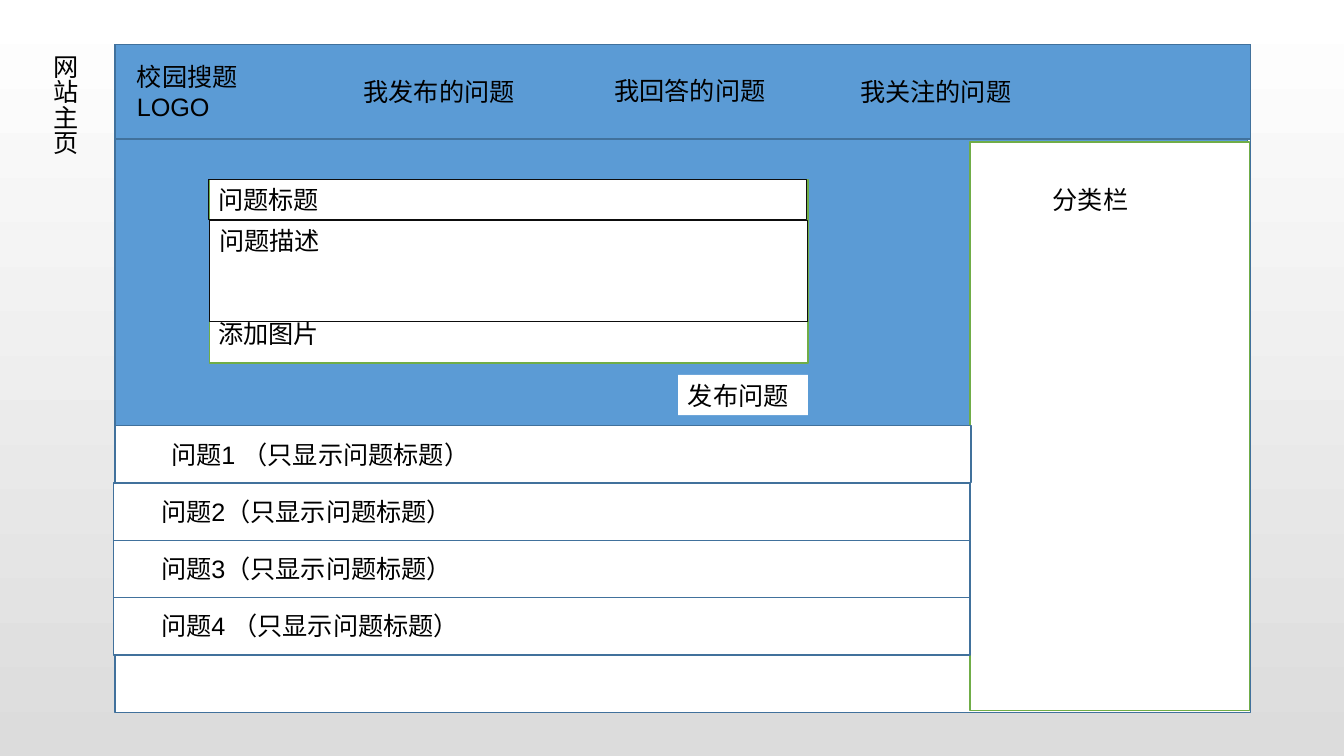
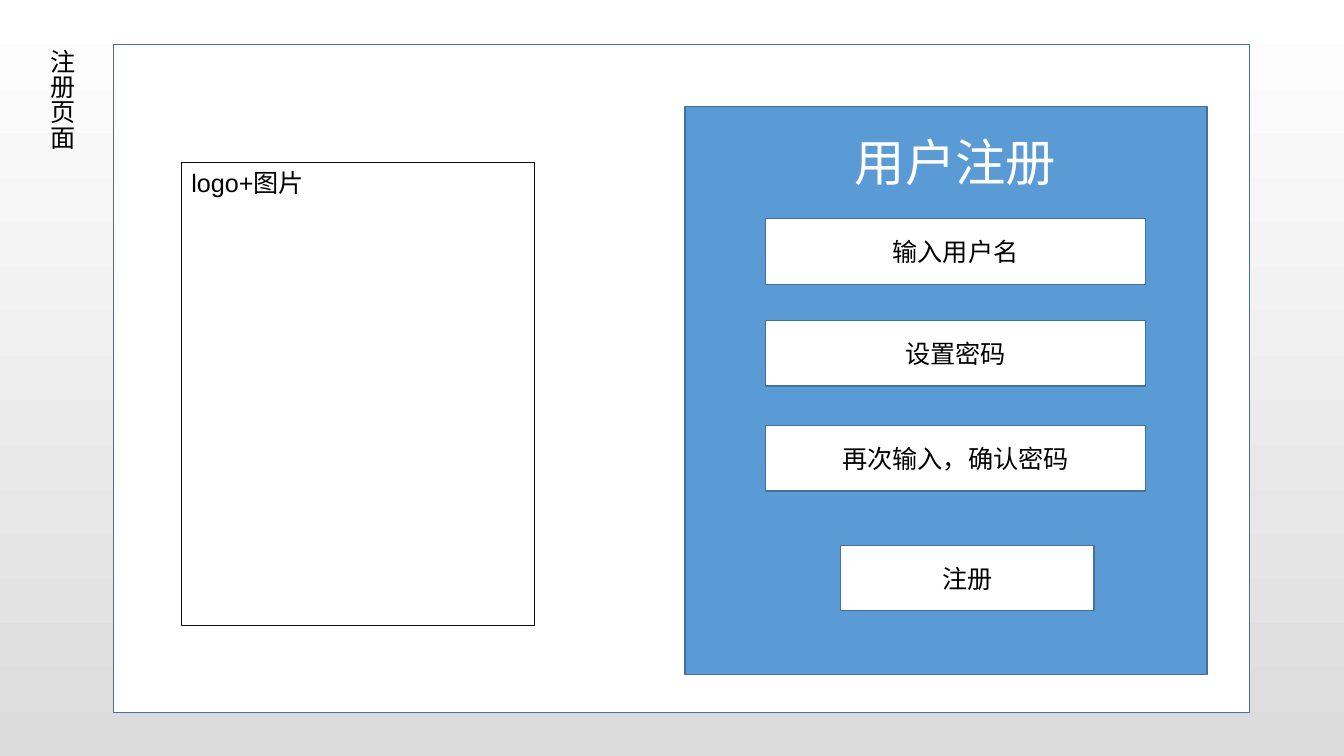
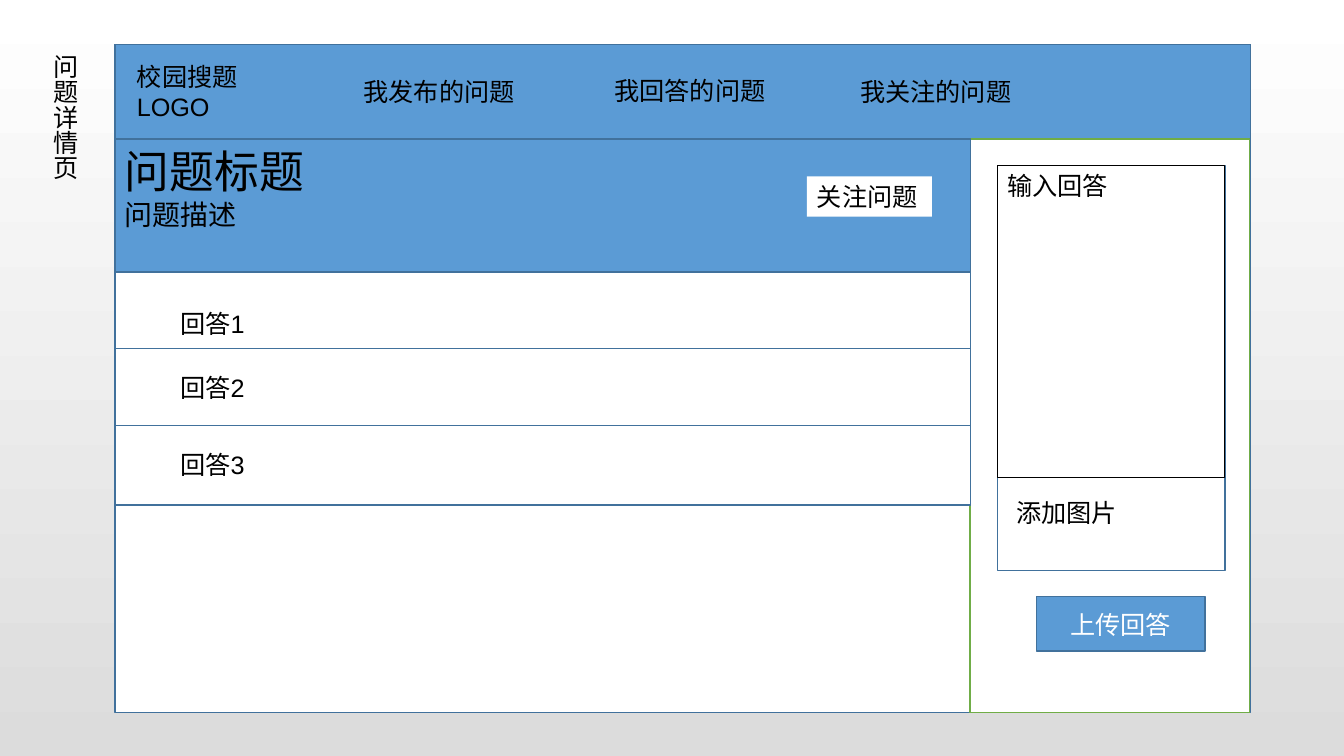
from dataclasses import dataclass

from pptx import Presentation
from pptx import util as u
from pptx.dml.color import RGBColor
from pptx.enum import shapes, text

PX = 9144  # EMU per px, 100 px to the inch
TITLE_ONLY = 5


@dataclass(frozen=True)
class Theme:
    font: str = "Arial"
    blue: str = "5B9BD5"
    border: str = "41719C"
    green: str = "70AD47"
    ink: str = "0D0D0D"
    black: str = "000000"
    white: str = "FFFFFF"
    grey: str = "DCDCDC"
    body: int = 18
    subheading: int = 20
    heading: int = 32
    banner: int = 36
    line: float = 1
    thin_line: float = 0.75


THEME = Theme()


class Wireframe:
    def __init__(self, theme):
        self.theme = theme
        self.presentation = Presentation()
        self.presentation.slide_width = 1334 * PX
        self.presentation.slide_height = 750 * PX
        self.slide = None
        fill = self.presentation.slide_master.background.fill
        fill.gradient()
        fill.gradient_angle = 270
        for stop, color in zip(fill.gradient_stops, (theme.white, theme.grey)):
            stop.color.rgb = RGBColor.from_string(color)

    def page(self, name, title_box, frame_left=114):
        """Start a slide with its vertical title and the white page frame."""
        layout = self.presentation.slide_layouts[TITLE_ONLY]
        self.slide = self.presentation.slides.add_slide(layout)
        title = self.slide.shapes.title
        title.left, title.top, title.width, title.height = (n * PX for n in title_box)
        title.element.txBody.bodyPr.set("vert", "eaVert")
        self.set_text(title, name, insets=(5, 10),
                      auto_size=text.MSO_AUTO_SIZE.SHAPE_TO_FIT_TEXT)
        self.box((frame_left, 44, 1127, 663), self.theme.white)

    def set_text(self, shape, words, size=None, color=None, centred=False,
                 insets=(10, 5), auto_size=text.MSO_AUTO_SIZE.NONE):
        """Fill a shape with a string, or with a list of (string, size) lines."""
        size = size or self.theme.body
        lines = [(words, size)] if isinstance(words, str) else words
        frame = shape.text_frame
        across, down = (n * PX for n in insets)
        frame_format = {
            "word_wrap": True,
            "auto_size": auto_size,
            "vertical_anchor": text.MSO_ANCHOR.MIDDLE if centred else text.MSO_ANCHOR.TOP,
            "margin_left": across, "margin_right": across,
            "margin_top": down, "margin_bottom": down,
        }
        for name, value in frame_format.items():
            setattr(frame, name, value)
        for index, (line, line_size) in enumerate(lines):
            paragraph = frame.add_paragraph() if index else frame.paragraphs[0]
            paragraph.alignment = text.PP_ALIGN.CENTER if centred else text.PP_ALIGN.LEFT
            run = paragraph.add_run()
            run.text = line
            run.font.name = self.theme.font
            run.font.size = u.Pt(line_size)
            run.font.color.rgb = RGBColor.from_string(color or self.theme.black)

    def label(self, box, words):
        shape = self.slide.shapes.add_textbox(*(n * PX for n in box))
        self.set_text(shape, words)

    def box(self, box, fill=None, line=THEME.border, width=THEME.line, words=None, **style):
        shape = self.slide.shapes.add_shape(
            shapes.MSO_SHAPE.RECTANGLE, *(n * PX for n in box))
        shape.shadow.inherit = False
        if fill:
            shape.fill.solid()
            shape.fill.fore_color.rgb = RGBColor.from_string(fill)
        else:
            shape.fill.background()
        if line:
            shape.line.color.rgb = RGBColor.from_string(line)
            shape.line.width = u.Pt(width)
        else:
            shape.line.fill.background()
        if words:
            self.set_text(shape, words, **style)

    def field(self, box, words, line=THEME.ink):
        """Outlined input area with its prompt at the top left."""
        self.box(box, line=line, width=self.theme.thin_line, words=words)

    def tag(self, box, words):
        """White button without a border."""
        self.box(box, self.theme.white, line=None, words=words)

    def navigation(self):
        self.box((114, 44, 1127, 94), self.theme.blue)
        self.label((126, 56, 131, 70), "校园搜题LOGO")
        links = ((351, 71, "我发布的问题"), (600, 70, "我回答的问题"), (844, 71, "我关注的问题"))
        for left, top, words in links:
            self.label((left, top, 201, 40), words)


def home_page(wireframe):
    theme = wireframe.theme
    wireframe.page("网站主页", (35, 44, 50, 317))
    wireframe.navigation()
    wireframe.box((114, 138, 1124, 284), theme.blue)
    wireframe.box((208, 178, 594, 182), theme.white, theme.green)
    wireframe.field((207, 178, 594, 40), "问题标题")
    wireframe.field((208, 219, 594, 100), "问题描述")
    wireframe.label((207, 311, 137, 40), "添加图片")
    wireframe.tag((673, 372, 129, 40), "发布问题")
    wireframe.box((963, 141, 277, 564), theme.white, theme.green)
    wireframe.label((1035, 178, 155, 40), "分类栏")
    questions = (
        (114, 160, 431, "问题1 （只显示问题标题）"),
        (113, 150, 487, "问题2（只显示问题标题）"),
        (113, 150, 544, "问题3（只显示问题标题）"),
        (113, 150, 601, "问题4 （只显示问题标题）"),
    )
    for index, (left, label_left, label_top, words) in enumerate(questions):
        wireframe.box((left, 422 + 57 * index, 850, 57), theme.white)
        wireframe.label((label_left, label_top, 392, 40), words)


def registration_page(wireframe):
    theme = wireframe.theme
    wireframe.page("注册页面", (32, 39, 50, 317), frame_left=113)
    wireframe.box((680, 106, 518, 563), theme.blue)
    wireframe.box((812, 120, 273, 81), theme.blue, line=None, words="用户注册",
                  size=theme.banner, color=theme.white, centred=True)
    entries = (
        (760, 217, 377, "输入用户名"),
        (760, 318, 377, "设置密码"),
        (760, 422, 377, "再次输入，确认密码"),
        (834, 541, 252, "注册"),
    )
    for left, top, width, words in entries:
        wireframe.box((left, top, width, 65), theme.white, words=words, centred=True)
    wireframe.field((180, 161, 351, 460), "logo+图片")


def question_page(wireframe):
    theme = wireframe.theme
    wireframe.page("问题详情页", (35, 44, 50, 506))
    wireframe.navigation()
    wireframe.box((963, 138, 277, 569), theme.white, theme.green)
    wireframe.box((990, 164, 226, 402), theme.white)
    wireframe.box((1029, 592, 167, 54), theme.blue, words="上传回答",
                  color=theme.white, centred=True)
    wireframe.field((990, 164, 225, 310), "输入回答", theme.black)
    wireframe.label((999, 488, 151, 40), "添加图片")
    wireframe.box((114, 138, 849, 132), theme.blue)
    wireframe.label((114, 138, 221, 97),
                    [("问题标题", theme.heading), ("问题描述", theme.subheading)])
    wireframe.tag((801, 175, 124, 40), "关注问题")
    answers = ((270, 76, 301), (346, 76, 364), (422, 79, 441))
    for number, (top, height, label_top) in enumerate(answers, 1):
        wireframe.box((114, top, 849, height), theme.white)
        wireframe.label((169, label_top, 110, 40), f"回答{number}")


def main():
    wireframe = Wireframe(THEME)
    for build in (home_page, registration_page, question_page):
        build(wireframe)
    wireframe.presentation.save("out.pptx")


if __name__ == "__main__":
    main()
